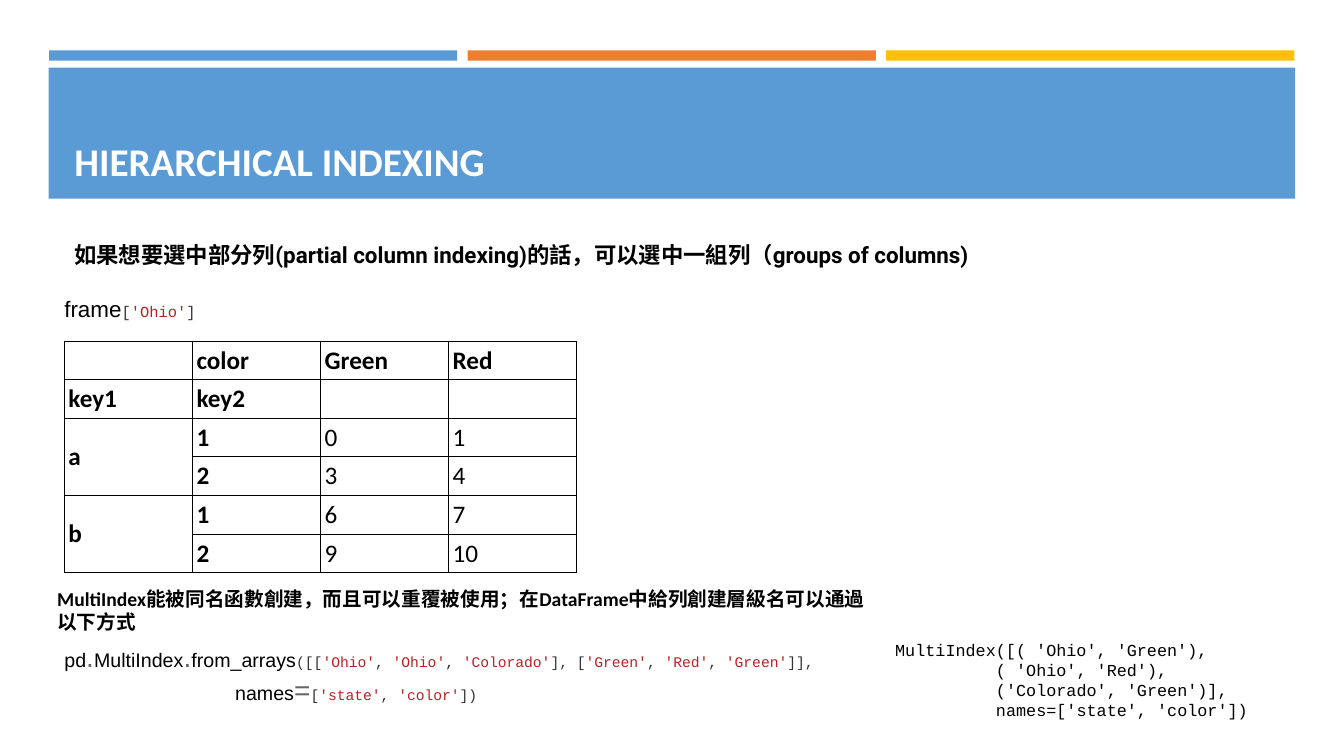
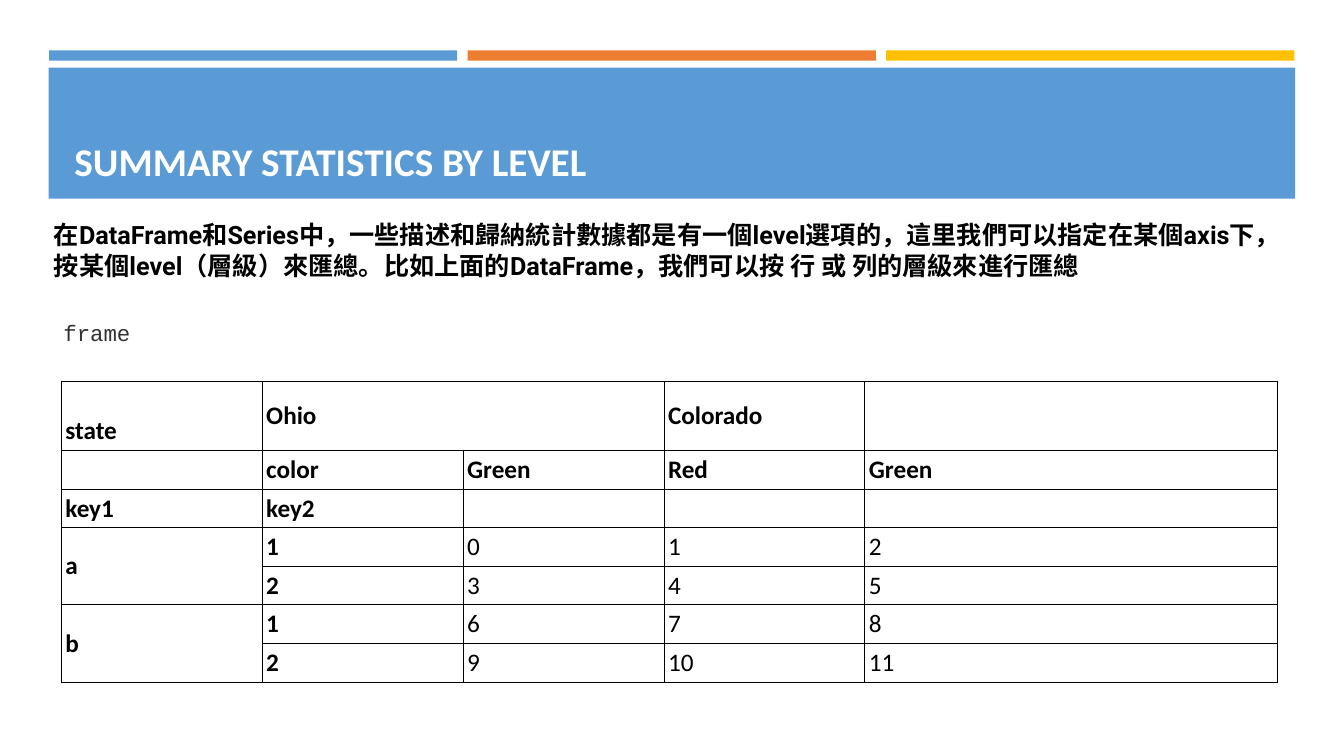
from lxml import etree
from pptx import Presentation
from pptx import util as u
from pptx.dml import color
from pptx.enum import shapes, text
from pptx.oxml import ns

BLUE, ORANGE, YELLOW = "5B9BD5", "ED7D31", "FFC000"
BLACK, WHITE, GRAY, DARK, RED = "000000", "FFFFFF", "666666", "333333", "BA2121"
SANS, BODY, HEADING, MONO = "Arial", "Calibri", "Roboto", "Courier New"
TOP, MIDDLE, BOTTOM = text.MSO_ANCHOR.TOP, text.MSO_ANCHOR.MIDDLE, text.MSO_ANCHOR.BOTTOM


def rgb(value):
    return color.RGBColor.from_string(value)


def code(source, size):
    spans = []
    for index, part in enumerate(source.split("'")):
        if index % 2:
            spans.append((f"'{part}'", size, MONO, RED))
        elif part:
            spans.append((part, size, MONO, DARK))
    return spans


class Slides:
    def __init__(self):
        self.deck = Presentation()
        self.deck.slide_width, self.deck.slide_height = u.Pt(960), u.Pt(540)
        self.layout = self.deck.slide_layouts[5]
        self.page = None
        self.add_bands()

    def add_bands(self):
        for holder in list(self.layout.placeholders)[1:]:
            holder.element.getparent().remove(holder.element)
        self.page = self.deck.slides.add_slide(self.layout)
        bands = [self.band(35 + 299 * index, 36, 291.6, 7.4, fill)
                 for index, fill in enumerate((BLUE, ORANGE, YELLOW))]
        bands.append(self.band(34.8, 48.4, 890.4, 93.6, BLUE))
        for index, band in enumerate(bands):
            self.layout.shapes.element.insert(2 + index, band.element)

    def band(self, left, top, width, height, fill):
        band = self.page.shapes.add_shape(
            shapes.MSO_SHAPE.RECTANGLE, *map(u.Pt, (left, top, width, height)))
        band.shadow.inherit = False
        band.fill.solid()
        band.fill.fore_color.rgb = rgb(fill)
        band.line.fill.background()
        return band

    def style(self, span, size, font, ink, bold=False):
        span.font.size, span.font.name, span.font.bold = u.Pt(size), font, bold
        span.font.color.rgb = rgb(ink)

    def start(self, heading, first=False):
        if not first:
            self.page = self.deck.slides.add_slide(self.layout)
        title = self.page.shapes.title
        title.left, title.top, title.width, title.height = map(u.Pt, (46, 55.4, 868, 80))
        frame = title.text_frame
        frame.text = heading
        frame.vertical_anchor = BOTTOM
        para = frame.paragraphs[0]
        para.alignment = text.PP_ALIGN.LEFT
        self.style(para.runs[0], 28, BODY, WHITE, True)

    def box(self, place, lines, bold=False, anchor=TOP, inset=True, indent=0):
        box = self.page.shapes.add_textbox(*map(u.Pt, place))
        frame = box.text_frame
        frame.word_wrap = True
        frame.vertical_anchor = anchor
        if not inset:
            frame.margin_left = frame.margin_right = 0
            frame.margin_top = frame.margin_bottom = 0
        for index, spans in enumerate(lines):
            para = frame.add_paragraph() if index else frame.paragraphs[0]
            if index and indent:
                para._p.get_or_add_pPr().set("marL", str(u.Pt(indent)))
            for words, size, font, ink in spans:
                span = para.add_run()
                span.text = words
                self.style(span, size, font, ink, bold)

    def border(self, cell):
        properties = cell._tc.get_or_add_tcPr()
        for index, side in enumerate(("lnL", "lnR", "lnT", "lnB")):
            line = etree.Element(ns.qn("a:" + side), w=str(u.Pt(0.75)))
            fill = etree.SubElement(line, ns.qn("a:solidFill"))
            etree.SubElement(fill, ns.qn("a:srgbClr"), val=BLACK)
            properties.insert(index, line)

    def table(self, left, top, widths, heights, rows, spans):
        table = self.page.shapes.add_table(
            len(rows), len(widths),
            *map(u.Pt, (left, top, sum(widths), sum(heights)))).table
        table.first_row = table.horz_banding = False
        for column, width in zip(table.columns, widths):
            column.width = u.Pt(width)
        for row, height in zip(table.rows, heights):
            row.height = u.Pt(height)
        for y, row in enumerate(rows):
            for x, words in enumerate(row):
                cell = table.cell(y, x)
                cell.text = words
                cell.vertical_anchor = MIDDLE
                cell.margin_left = cell.margin_right = u.Pt(2.9)
                cell.margin_top = cell.margin_bottom = u.Pt(2.9)
                cell.fill.solid()
                cell.fill.fore_color.rgb = rgb(WHITE)
                self.border(cell)
                for span in cell.text_frame.paragraphs[0].runs:
                    self.style(span, 18, BODY, BLACK, x < 2 or not words.isdigit())
        for y, x, last_y, last_x in spans:
            table.cell(y, x).merge(table.cell(last_y, last_x))
        return table


def index_rows(columns):
    rows = []
    for group in range(4):
        key = "" if group % 2 else "ab"[group // 2]
        values = [str(group * 3 + column) for column in range(columns)]
        rows.append([key, str(group % 2 + 1)] + values)
    return rows


slides = Slides()
ROW = 27.6

slides.start("HIERARCHICAL INDEXING", first=True)
slides.box((46, 168.5, 654.5, 26.6), [[(
    "如果想要選中部分列(partial column indexing)的話，可以選中一組列（groups of columns)",
    16, HEADING, BLACK)]], bold=True)
slides.box((46, 210.5, 110, 19.4), [[("frame", 16, SANS, BLACK)] + code("['Ohio']", 11)],
           anchor=MIDDLE, inset=False)
slides.table(46, 243.6, [91.5] * 4, [ROW] * 6,
             [["", "color", "Green", "Red"], ["key1", "key2", "", ""]] + index_rows(2),
             [(2, 0, 3, 0), (4, 0, 5, 0)])
slides.box((33.8, 415.4, 594, 41), [[(
    "MultiIndex能被同名函數創建，而且可以重覆被使用；在DataFrame中給列創建層級名可以通過以下方式",
    14, BODY, BLACK)]], bold=True)
dot = (".", 20, SANS, GRAY)
slides.box((46, 456.5, 560, 48.2), [
    [("pd", 14, SANS, BLACK), dot, ("MultiIndex", 14, SANS, BLACK), dot,
     ("from_arrays", 14, SANS, BLACK)]
    + code("([['Ohio', 'Ohio', 'Colorado'], ['Green', 'Red', 'Green']],", 10.5),
    [("names", 14, SANS, BLACK), ("=", 20, SANS, GRAY)]
    + code("['state', 'color'])", 10.5),
], anchor=MIDDLE, inset=False, indent=122)
output = ("MultiIndex([( 'Ohio', 'Green'),", "( 'Ohio', 'Red'),",
          "('Colorado', 'Green')],", "names=['state', 'color'])")
slides.box((639.4, 456.5, 258.5, 58.3), [[(line, 12, MONO, BLACK)] for line in output],
           anchor=MIDDLE, inset=False, indent=72)

slides.start("SUMMARY STATISTICS BY LEVEL")
slides.box((31.4, 153.4, 893, 51), [[(
    "在DataFrame和Series中，一些描述和歸納統計數據都是有一個level選項的，這里我們可以指定在某個axis下，"
    "按某個level（層級）來匯總。比如上面的DataFrame，我們可以按 行 或 列的層級來進行匯總",
    18, HEADING, BLACK)]], bold=True)
slides.box((38.2, 204.5, 480, 46), [[("frame", 16, MONO, DARK)]], anchor=BOTTOM)
frame_table = slides.table(
    43.8, 272.4, [143.5] * 4 + [294.4], [49.3] + [ROW] * 6,
    [["state", "Ohio", "", "Colorado", ""], ["", "color", "Green", "Red", "Green"],
     ["key1", "key2", "", "", ""]] + index_rows(3),
    [(0, 1, 0, 2), (3, 0, 4, 0), (5, 0, 6, 0)])
frame_table.cell(0, 0).vertical_anchor = BOTTOM

slides.deck.save("out.pptx")
